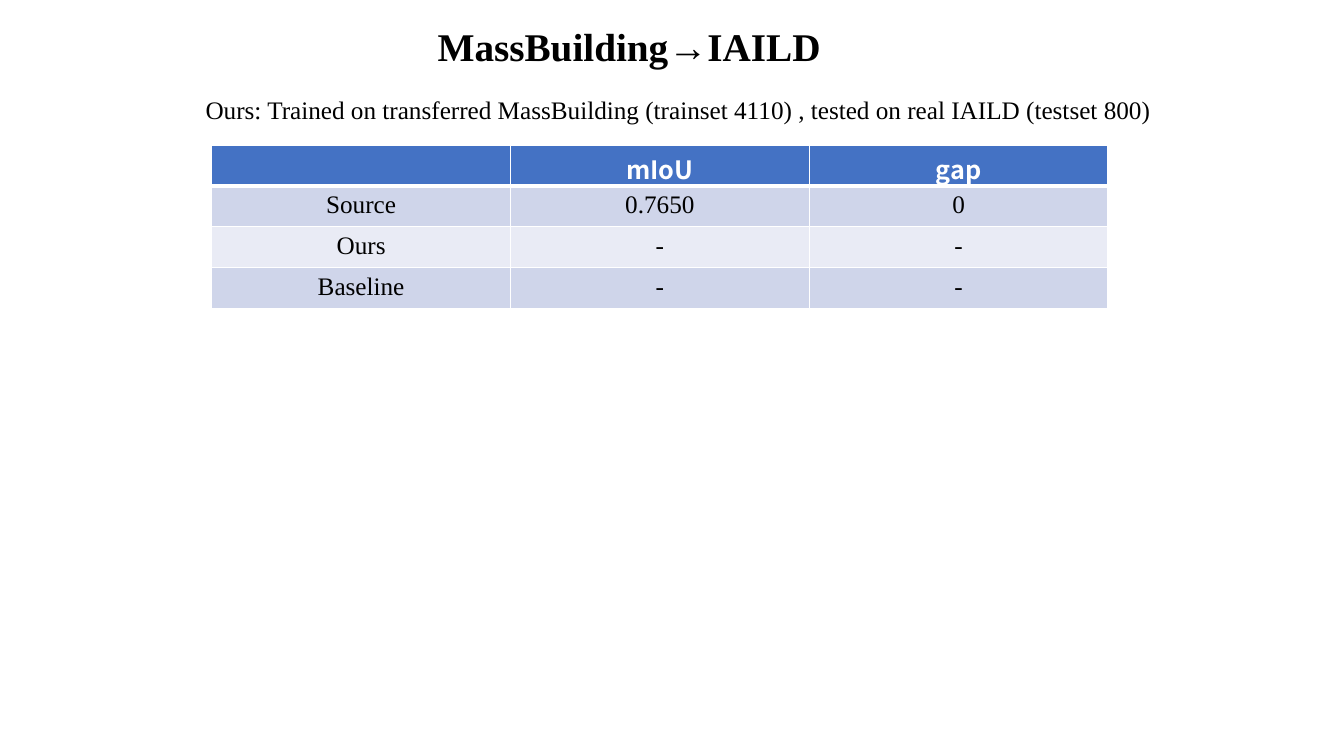
import pptx
import pptx.util
import pptx.dml.color
import pptx.enum.text
import pptx.oxml
from dataclasses import dataclass
from pptx.util import Inches


@dataclass(frozen=True)
class Theme:
    text: str = "000000"
    white: str = "FFFFFF"
    header: str = "4472C4"
    bands: tuple = ("CFD5EA", "E9EBF5")
    serif: str = "Times New Roman"
    sans: str = "Noto Sans CJK SC"
    title_size: int = 28
    body_size: int = 18


theme = Theme()


def add_run(paragraph, text, size, font_name, color, bold=False):
    run = paragraph.add_run()
    run.text = text
    run.font.size = pptx.util.Pt(size)
    run.font.name = font_name
    run.font.bold = bold
    run.font.color.rgb = pptx.dml.color.RGBColor.from_string(color)


def add_border(cell, side, points):
    namespace = "http://schemas.openxmlformats.org/drawingml/2006/main"
    cell._tc.get_or_add_tcPr().append(pptx.oxml.parse_xml(
        f'<a:{side} xmlns:a="{namespace}" w="{pptx.util.Pt(points)}">'
        f'<a:solidFill><a:srgbClr val="{theme.white}"/></a:solidFill></a:{side}>'))


presentation = pptx.Presentation()
presentation.slide_width = Inches(13.33)
presentation.slide_height = Inches(7.5)
slide = presentation.slides.add_slide(presentation.slide_layouts[5])

# Title
title = slide.shapes.title
title.left, title.top = Inches(4.24), Inches(0.17)
title.width, title.height = Inches(6.67), Inches(0.57)
title.text_frame.word_wrap = True
title.text_frame.auto_size = pptx.enum.text.MSO_AUTO_SIZE.SHAPE_TO_FIT_TEXT
title.text_frame.vertical_anchor = pptx.enum.text.MSO_ANCHOR.TOP
paragraph = title.text_frame.paragraphs[0]
paragraph.alignment = pptx.enum.text.PP_ALIGN.LEFT
paragraph.line_spacing = 1.0
add_run(paragraph, "MassBuilding→IAILD", theme.title_size, theme.serif, theme.text, True)

# Training and test sets
subtitle = slide.shapes.add_textbox(Inches(1.94), Inches(0.89), Inches(9.74), Inches(0.4))
subtitle.text_frame.word_wrap = False
subtitle.text_frame.auto_size = pptx.enum.text.MSO_AUTO_SIZE.SHAPE_TO_FIT_TEXT
paragraph = subtitle.text_frame.paragraphs[0]
paragraph.alignment = pptx.enum.text.PP_ALIGN.LEFT
add_run(paragraph,
        "Ours: Trained on transferred MassBuilding (trainset 4110) , "
        "tested on real IAILD (testset 800)",
        theme.body_size, theme.serif, theme.text)

# Results table
results = [
    ("", "mIoU", "gap"),
    ("Source", "0.7650", "0"),
    ("Ours", "-", "-"),
    ("Baseline", "-", "-"),
]
table = slide.shapes.add_table(len(results), len(results[0]), Inches(2.1), Inches(1.44),
                               Inches(8.89), Inches(1.62)).table
for row_index, values in enumerate(results):
    is_header = row_index == 0
    fill = theme.header if is_header else theme.bands[(row_index - 1) % 2]
    font_name = theme.sans if is_header else theme.serif
    color = theme.white if is_header else theme.text
    for column_index, value in enumerate(values):
        cell = table.cell(row_index, column_index)
        for side in ("lnL", "lnR", "lnT", "lnB"):
            thick = (row_index, side) in ((0, "lnB"), (1, "lnT"))
            add_border(cell, side, 3 if thick else 1)
        cell.fill.solid()
        cell.fill.fore_color.rgb = pptx.dml.color.RGBColor.from_string(fill)
        paragraph = cell.text_frame.paragraphs[0]
        paragraph.alignment = pptx.enum.text.PP_ALIGN.CENTER
        if value:
            add_run(paragraph, value, theme.body_size, font_name, color, is_header)

presentation.save("out.pptx")
